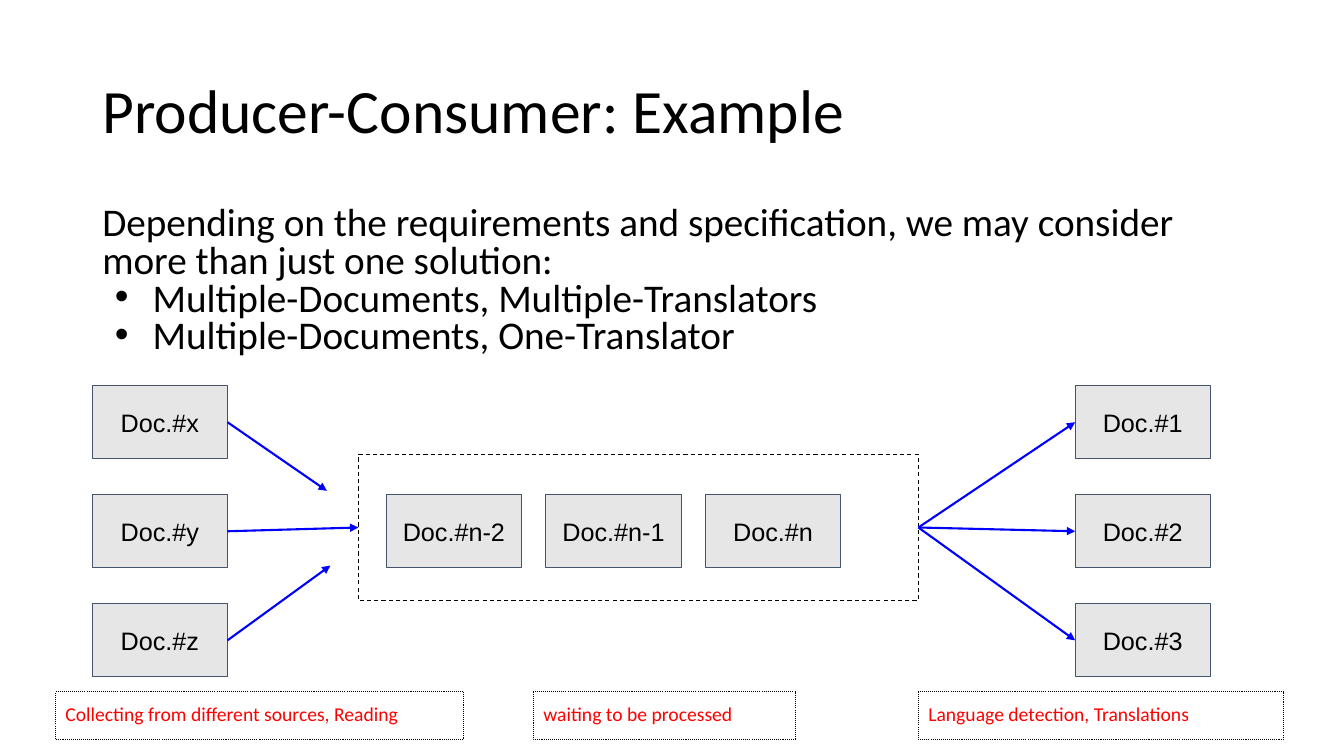
from dataclasses import dataclass

from lxml.etree import SubElement
from pptx import Presentation
from pptx.dml.color import RGBColor as RGB
from pptx.enum.dml import MSO_LINE as DASH
from pptx.enum.shapes import MSO_CONNECTOR as CONN, MSO_SHAPE as SHAPE
from pptx.enum.text import MSO_ANCHOR as ANCHOR, PP_ALIGN as ALIGN
from pptx.oxml.ns import qn
from pptx.util import Pt


@dataclass(frozen=True)
class Theme:
    text: str = "000000"
    box_fill: str = "E7E6E6"
    box_line: str = "44546A"
    arrow: str = "0000FF"
    caption: str = "FF0000"
    main_font: str = "Calibri"
    box_font: str = "Arial"
    title_size: float = 44
    body_size: float = 28
    box_size: float = 18
    caption_size: float = 14
    thin: float = 0.75
    thick: float = 1.5


def add_text(tf, text, *, size, font, color, align=ALIGN.LEFT,
             spacing=1.0, bullet=False, first=True):
    p = tf.paragraphs[0] if first else tf.add_paragraph()
    p.alignment = align
    p.line_spacing = spacing
    p.space_before = p.space_after = Pt(0)
    if bullet:
        pPr = p._p.get_or_add_pPr()
        pPr.set("marL", str(Pt(36)))
        pPr.set("indent", str(Pt(-27)))
        clr = SubElement(pPr, qn("a:buClr"))
        SubElement(clr, qn("a:srgbClr"), val=color)
        SubElement(pPr, qn("a:buFont"), typeface="Arial")
        SubElement(pPr, qn("a:buChar"), char="•")
    r = p.add_run()
    r.text = text
    r.font.size = Pt(size)
    r.font.name = font
    r.font.color.rgb = RGB.from_string(color)


class Deck:
    def __init__(self, theme, width, height):
        self.theme = theme
        self.prs = Presentation()
        self.prs.slide_width, self.prs.slide_height = Pt(width), Pt(height)
        self.s = self.prs.slides.add_slide(self.prs.slide_layouts[6])

    def frame(self, sp, anchor, inset):
        tf = sp.text_frame
        tf.word_wrap = True
        tf.vertical_anchor = anchor
        tf.margin_left = tf.margin_right = Pt(7.2)
        tf.margin_top = tf.margin_bottom = Pt(inset)
        return tf

    def textbox(self, x, y, w, h, anchor):
        sp = self.s.shapes.add_textbox(Pt(x), Pt(y), Pt(w), Pt(h))
        return self.frame(sp, anchor, 3.6)

    def title(self, x, y, w, h, text):
        t = self.theme
        add_text(self.textbox(x, y, w, h, ANCHOR.MIDDLE), text, spacing=0.9,
                 size=t.title_size, font=t.main_font, color=t.text)

    def body(self, x, y, w, h, intro, bullets):
        t = self.theme
        tf = self.textbox(x, y, w, h, ANCHOR.TOP)
        for i, text in enumerate([intro, *bullets]):
            add_text(tf, text, size=t.body_size, font=t.main_font,
                     color=t.text, spacing=0.8, bullet=i > 0, first=i == 0)

    def shape(self, kind, x, y, w, h, line, fill=None, dash=None):
        sp = self.s.shapes.add_shape(kind, Pt(x), Pt(y), Pt(w), Pt(h))
        sp.shadow.inherit = False
        if fill:
            sp.fill.solid()
            sp.fill.fore_color.rgb = RGB.from_string(fill)
        else:
            sp.fill.background()
        sp.line.color.rgb = RGB.from_string(line)
        sp.line.width = Pt(self.theme.thin)
        if dash:
            sp.line.dash_style = dash
        return sp

    def document(self, x, y, text):
        t = self.theme
        sp = self.shape(SHAPE.FLOWCHART_PROCESS, x, y, DOC_W, DOC_H,
                        t.box_line, fill=t.box_fill)
        add_text(self.frame(sp, ANCHOR.MIDDLE, 7.2), text, align=ALIGN.CENTER,
                 size=t.box_size, font=t.box_font, color=t.text)

    def queue(self, x, y, w, h):
        self.shape(SHAPE.RECTANGLE, x, y, w, h, self.theme.text, dash=DASH.DASH)

    def caption(self, x, y, w, h, text):
        t = self.theme
        sp = self.shape(SHAPE.RECTANGLE, x, y, w, h, t.text,
                        dash=DASH.ROUND_DOT)
        add_text(self.frame(sp, ANCHOR.TOP, 7.2), text, size=t.caption_size,
                 font=t.main_font, color=t.caption)

    def arrow(self, x1, y1, x2, y2):
        c = self.s.shapes.add_connector(CONN.STRAIGHT, Pt(x1), Pt(y1),
                                        Pt(x2), Pt(y2))
        c.line.color.rgb = RGB.from_string(self.theme.arrow)
        c.line.width = Pt(self.theme.thick)
        SubElement(c.line._get_or_add_ln(), qn("a:tailEnd"), type="triangle")
        SubElement(c._element.spPr, qn("a:effectLst"))


DOC_W, DOC_H = 96.5, 52
LEFT, RIGHT = 66, 768
ROWS = [275.6 + 77.9 * i for i in range(3)]
QUEUE_X, QUEUE_Y, QUEUE_W, QUEUE_H = 256, 324.6, 400, 104.4
QUEUE_MID = QUEUE_Y + QUEUE_H / 2


def main():
    deck = Deck(Theme(), 960, 540)
    deck.title(LEFT, 28.75, 828, 104.4, "Producer-Consumer: Example")
    deck.body(LEFT, 144, 828, 132,
              "Depending on the requirements and specification, "
              "we may consider more than just one solution:",
              ["Multiple-Documents, Multiple-Translators",
               "Multiple-Documents, One-Translator"])

    deck.queue(QUEUE_X, QUEUE_Y, QUEUE_W, QUEUE_H)
    for i, name in enumerate(["n-2", "n-1", "n"]):
        deck.document(276 + 114 * i, ROWS[1], f"Doc.#{name}")

    arrow_ends = [(233.5, 350.6), (QUEUE_X, QUEUE_MID), (236, 404)]
    for y, source, result, end in zip(ROWS, "xyz", "123", arrow_ends):
        mid = y + DOC_H / 2
        deck.document(LEFT, y, f"Doc.#{source}")
        deck.document(RIGHT, y, f"Doc.#{result}")
        deck.arrow(LEFT + DOC_W, mid, *end)
        deck.arrow(QUEUE_X + QUEUE_W, QUEUE_MID, RIGHT, mid)

    for x, w, text in [
        (39.6, 291.6, "Collecting from different sources, Reading"),
        (381, 187, "waiting to be processed"),
        (656, 260.6, "Language detection, Translations"),
    ]:
        deck.caption(x, 494, w, 34, text)

    deck.prs.save("out.pptx")


if __name__ == "__main__":
    main()
